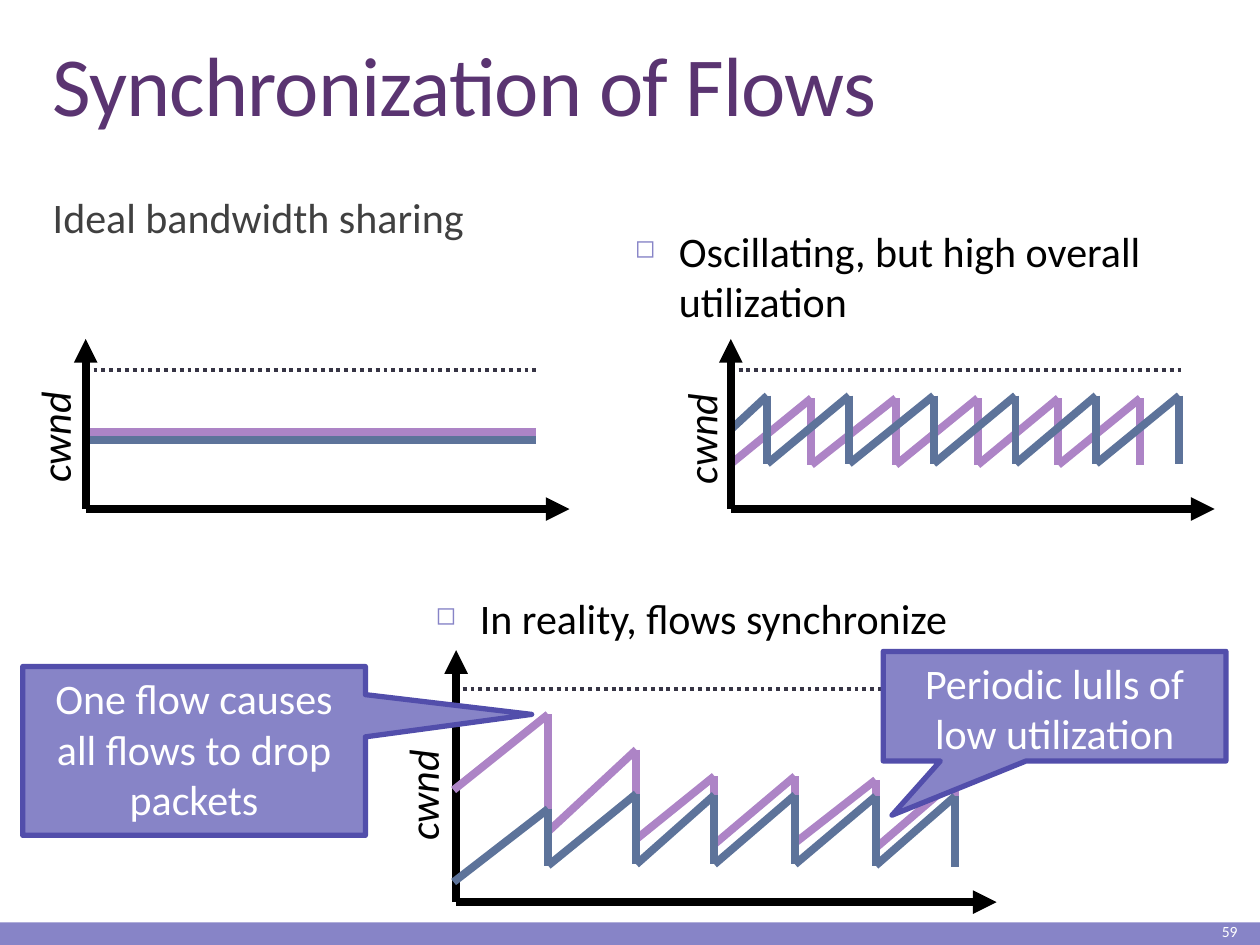
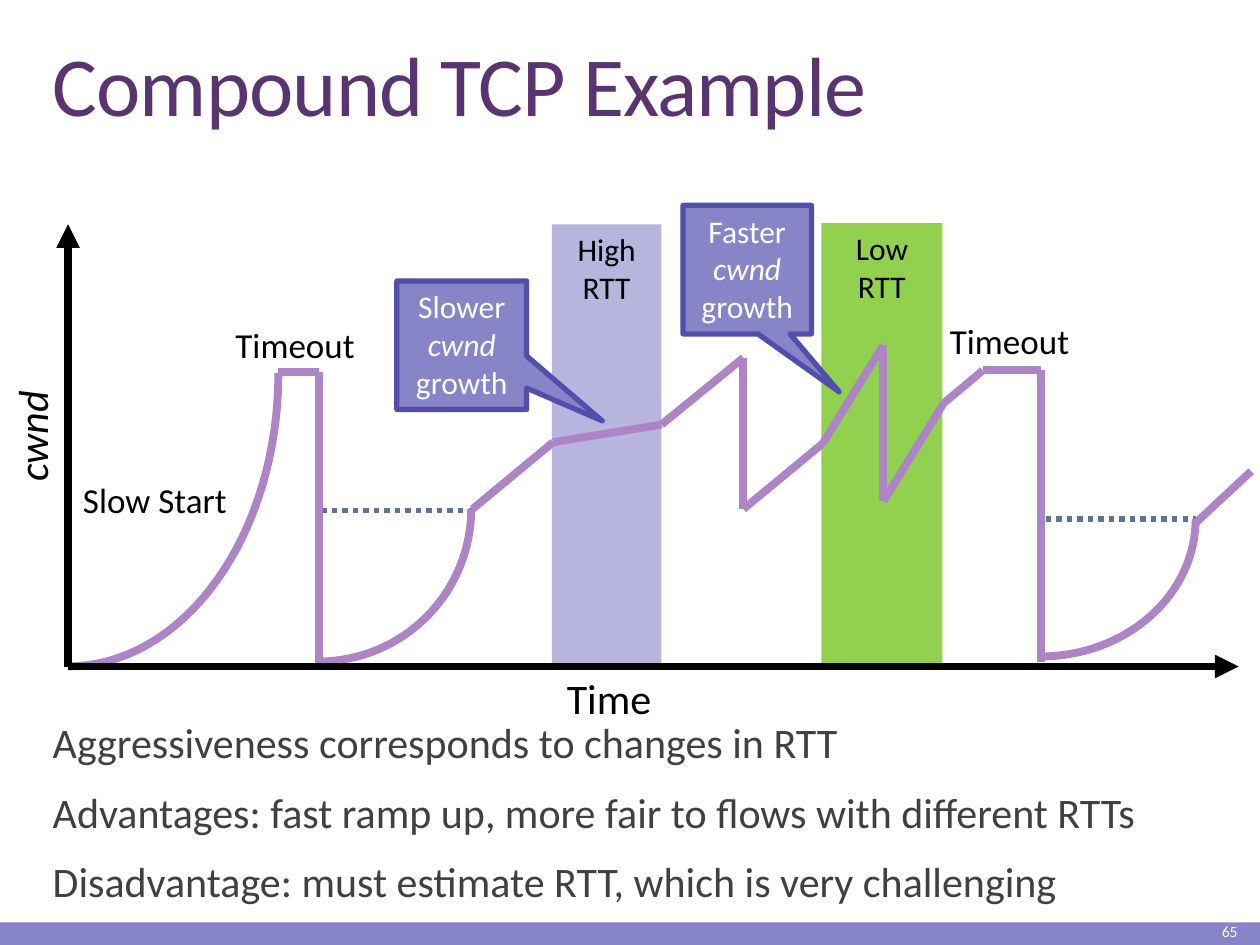
from itertools import pairwise
from math import cos, pi, sin

from pptx import Presentation
from pptx.dml.color import RGBColor
from pptx.enum.dml import MSO_LINE
from pptx.enum.shapes import MSO_CONNECTOR, MSO_SHAPE
from pptx.enum.text import MSO_ANCHOR as ANCHOR, PP_ALIGN as ALIGN
from pptx.oxml.ns import qn
from pptx.util import Pt

PX = 9144
WIDTH, HEIGHT = 1000, 750
COLORS = {
    "band": "8784C7", "edge": "524EAB", "title": "5A3471", "body": "404040",
    "black": "000000", "white": "FFFFFF", "purple": "AD84C6", "blue": "5D739A",
    "limit": "373545", "high": "B7B5DD", "low": "92D050",
}
FONT = "Calibri"
FLOW = 4.5
CWND = ("cwnd", {"italic": True})


def rgb(name):
    """Return the named colour."""
    return RGBColor.from_string(COLORS[name])


class Deck:
    """Holds the style and the current slide."""

    def __init__(self):
        """Start an empty presentation."""
        self.prs = Presentation()
        self.prs.slide_width, self.prs.slide_height = WIDTH * PX, HEIGHT * PX

    def slide(self, title, number):
        """Add a slide with its title, bottom band and page number."""
        self.s = self.prs.slides.add_slide(self.prs.slide_layouts[6])
        self.rect(0, 732, WIDTH, 18, "band")
        tf = self.text(32, 31, 948, 80, [title], size=48, color="title",
                       anchor=ANCHOR.BOTTOM, para={"line_spacing": 0.85})
        tf.paragraphs[0].runs[0]._r.get_or_add_rPr().set("spc", "-50")
        self.text(884, 728, 108, 22, [number], size=8.9, color="white",
                  anchor=ANCHOR.MIDDLE, para={"alignment": ALIGN.RIGHT})

    def fill_text(self, sp, paras, size=24, color="black", anchor=ANCHOR.TOP,
                  wrap=True, para=None):
        """Fill a shape with paragraphs, each a string or a list of runs."""
        tf = sp.text_frame
        tf.word_wrap, tf.vertical_anchor = wrap, anchor
        for i, runs in enumerate(paras):
            p = tf.paragraphs[0] if i == 0 else tf.add_paragraph()
            for name, value in (para or {}).items():
                if i or name != "space_before":
                    setattr(p, name, value)
            for run in [runs] if isinstance(runs, str) else runs:
                words, extra = (run, {}) if isinstance(run, str) else run
                r = p.add_run()
                r.text = words
                r.font.color.rgb = rgb(color)
                for name, value in {"name": FONT, "size": Pt(size), **extra}.items():
                    setattr(r.font, name, value)
        return tf

    def text(self, x, y, w, h, paras, rotation=0, **fmt):
        """Add a text box."""
        sp = self.s.shapes.add_textbox(x * PX, y * PX, w * PX, h * PX)
        sp.rotation = rotation
        return self.fill_text(sp, paras, **fmt)

    def label(self, x, y, w, h, words, size=20):
        """Add a one-line label."""
        self.text(x, y, w, h, [words], size=size, wrap=False)

    def cwnd(self, x, y):
        """Add the upright name of the vertical axis."""
        self.text(x, y, 99, 51, [[CWND]], rotation=270, wrap=False)

    def body(self, y, h, paras):
        """Add the main text."""
        para = {"line_spacing": 0.9, "space_before": Pt(12), "space_after": Pt(2)}
        self.text(32, y, 948, h, paras, color="body", para=para)

    def bullet(self, x, y, h, words):
        """Add a paragraph with a square bullet."""
        tf = self.text(x, y, 491, h, [words])
        pPr = tf.paragraphs[0]._p.get_or_add_pPr()
        pPr.set("marL", str(35 * PX))
        pPr.set("indent", str(-35 * PX))
        clr = pPr.makeelement(qn("a:buClr"), {})
        clr.append(clr.makeelement(qn("a:srgbClr"), {"val": COLORS["band"]}))
        pPr.append(clr)
        for tag, attrs in (("a:buSzPct", {"val": "60000"}), ("a:buChar", {"char": "◻"})):
            pPr.append(pPr.makeelement(qn(tag), attrs))

    def shape(self, kind, x, y, w, h, fill):
        """Add a filled preset shape without outline."""
        sp = self.s.shapes.add_shape(kind, x * PX, y * PX, w * PX, h * PX)
        sp.shadow.inherit = False
        sp.fill.solid()
        sp.fill.fore_color.rgb = rgb(fill)
        sp.line.fill.background()
        return sp

    def rect(self, x, y, w, h, fill, paras=()):
        """Add a rectangle, with centred text if given."""
        sp = self.shape(MSO_SHAPE.RECTANGLE, x, y, w, h, fill)
        self.fill_text(sp, paras, size=18, para={"alignment": ALIGN.CENTER})

    def callout(self, x, y, w, h, tip, runs, size):
        """Add a callout whose wedge ends at the tip."""
        sp = self.shape(MSO_SHAPE.RECTANGULAR_CALLOUT, x, y, w, h, "band")
        sp.adjustments[0] = (tip[0] - x - w / 2) / w
        sp.adjustments[1] = (tip[1] - y - h / 2) / h
        self.stroke(sp.line, "edge", 3)
        self.fill_text(sp, [runs], size=size, color="white",
                       para={"alignment": ALIGN.CENTER})

    def stroke(self, line, color, width):
        """Set the colour and width of a line."""
        line.color.rgb = rgb(color)
        line.width = Pt(width)

    def line(self, start, end, color, width=FLOW, dotted=False, arrow=False):
        """Add a straight line, dotted or with an arrowhead at its end."""
        c = self.s.shapes.add_connector(
            MSO_CONNECTOR.STRAIGHT, *(v * PX for v in (*start, *end)))
        self.stroke(c.line, color, width)
        spPr = c._element.spPr
        if dotted:
            c.line.dash_style = MSO_LINE.ROUND_DOT
        if arrow:
            ln = spPr.get_or_add_ln()
            ln.append(ln.makeelement(qn("a:tailEnd"), {"type": "triangle"}))
        spPr.append(spPr.makeelement(qn("a:effectLst"), {}))

    def trace(self, points, color="purple"):
        """Join the points by straight lines."""
        for start, end in pairwise(points):
            self.line(start, end, color)

    def saw(self, start, teeth, color):
        """Draw a sawtooth from (x, peak, drop) triples."""
        points = [start]
        for x, peak, drop in teeth:
            points += [(x, peak), (x, drop)]
        self.trace(points, color)

    def curve(self, x, y, w, h, steps=32):
        """Draw a quarter ellipse rising from bottom left to top right."""
        angles = [i * pi / 2 / steps for i in range(steps + 1)]
        points = [(round((x + w * cos(a)) * PX), round((y + h * sin(a)) * PX)) for a in angles]
        fb = self.s.shapes.build_freeform(*points[0])
        fb.add_line_segments(points[1:], close=False)
        sp = fb.convert_to_shape()
        sp.shadow.inherit = False
        sp.fill.background()
        self.stroke(sp.line, "purple", FLOW)

    def axes(self, x, y, top, right):
        """Draw both axes from their origin."""
        self.line((x, y), (right, y), "black", arrow=True)
        self.line((x, y), (x, top), "black", arrow=True)

    def limit(self, x, y, right):
        """Draw the dotted capacity line."""
        self.line((x, y), (right, y), "limit", 2.25, dotted=True)


def flows_slide(d):
    """Build the slide on synchronized flows."""
    d.slide("Synchronization of Flows", "59")
    d.body(152, 524, ["Ideal bandwidth sharing"])

    d.cwnd(-6, 318)
    for y, color in ((343, "purple"), (349, "blue")):
        d.line((69, y), (425, y), color)
    d.limit(68, 294, 425)
    d.axes(68, 404, 269, 452)

    d.cwnd(507, 319)
    d.limit(580, 294, 937)
    d.saw((579, 369), [(x, 316, 369) for x in (644, 711, 776, 840, 905)], "purple")
    d.saw((581, 340), [(x, 314, 368) for x in (609, 674, 741, 806, 870, 936)], "blue")
    d.axes(580, 404, 269, 964)

    d.cwnd(286, 602)
    d.limit(361, 547, 791)
    d.axes(362, 716, 516, 791)
    xs = (435, 505, 567, 631, 695, 758)
    flows = {
        "purple": (627, (567, 595, 616, 616, 619, 619), (660, 666, 670, 669, 673, 672)),
        "blue": (700, (642, 630, 631, 631, 632, 632), (687, 686, 686, 686, 687, 688)),
    }
    for color, (start, peaks, drops) in flows.items():
        d.saw((360, start), zip(xs, peaks, drops), color)

    d.bullet(494, 174, 101, "Oscillating, but high overall utilization")
    d.bullet(336, 465, 51, "In reality, flows synchronize")
    d.callout(18, 529, 272, 134, (422, 567), "One flow causes all flows to drop packets", 24)
    d.callout(701, 517, 272, 87, (708, 647), "Periodic lulls of low utilization", 24)


def compound_slide(d):
    """Build the slide on Compound TCP."""
    d.slide("Compound TCP Example", "65")
    d.rect(652, 177, 96, 351, "low", ["Low", "RTT"])
    d.rect(438, 178, 87, 351, "high", ["High", "RTT"])
    for x, y, right in ((830, 412, 949), (255, 405, 376)):
        d.line((x, y), (right, y), "blue", 3, dotted=True)
    d.body(568, 165, [
        "Aggressiveness corresponds to changes in RTT",
        "Advantages: fast ramp up, more fair to flows with different RTTs",
        "Disadvantage: must estimate RTT, which is very challenging",
    ])
    d.label(440, 529, 94, 51, "Time", 24)
    d.cwnd(-24, 317)
    d.label(177, 252, 121, 44, "Timeout")
    d.label(744, 249, 121, 44, "Timeout")
    d.label(56, 375, 148, 44, "Slow Start")

    d.curve(54, 296, 167, 233)
    d.trace([(221, 295), (253, 295), (253, 526)])
    d.curve(253, 404, 121, 121)
    d.trace([(375, 404), (439, 351), (525, 337), (590, 284), (590, 404), (653, 352),
             (701, 274), (701, 398), (749, 320), (780, 294), (826, 294), (826, 525)])
    d.curve(826, 412, 123, 109)
    d.trace([(949, 415), (993, 374)])
    d.axes(54, 529, 178, 983)

    d.callout(315, 223, 103, 102, (478, 334), ["Slower ", CWND, " growth"], 18)
    d.callout(542, 163, 102, 102, (666, 311), ["Faster ", CWND, " growth"], 18)


def main():
    """Build and save the slides."""
    d = Deck()
    flows_slide(d)
    compound_slide(d)
    d.prs.save("out.pptx")


if __name__ == "__main__":
    main()
